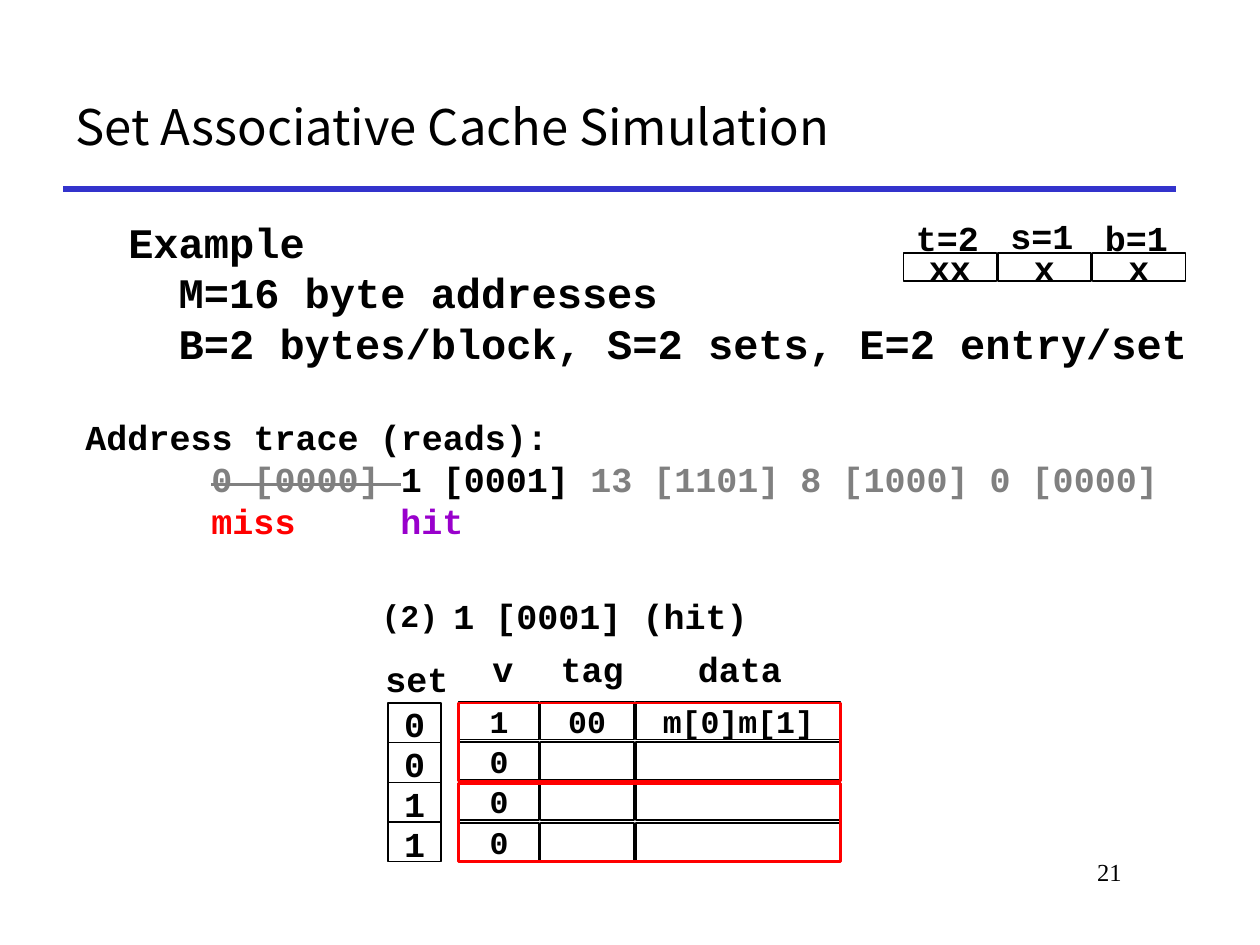
from lxml import etree
from pptx import Presentation
from pptx.dml.color import RGBColor
from pptx.enum import shapes, text
from pptx.oxml import ns
from pptx.util import Inches, Pt

BLACK = RGBColor(0x00, 0x00, 0x00)
WHITE = RGBColor(0xFF, 0xFF, 0xFF)
GRAY = RGBColor(0x80, 0x80, 0x80)
RED = RGBColor(0xFF, 0x00, 0x00)
PURPLE = RGBColor(0x99, 0x00, 0xCC)
BLUE = RGBColor(0x33, 0x33, 0xCC)
MONO = "Courier New"
LEFT, CENTER, RIGHT = text.PP_ALIGN.LEFT, text.PP_ALIGN.CENTER, text.PP_ALIGN.RIGHT


def style(paragraph, size, font=MONO, bold=True, align=LEFT):
    paragraph.alignment = align
    paragraph.font.size = Pt(size)
    paragraph.font.name = font
    paragraph.font.bold = bold
    paragraph.font.color.rgb = BLACK


def label(parent, words, box, size=20, wrap=False, **look):
    """Text box with one styled paragraph per line of words."""
    frame = parent.add_textbox(*map(Inches, box)).text_frame
    frame.word_wrap = wrap
    frame.text = words
    for paragraph in frame.paragraphs:
        style(paragraph, size, **look)
    return frame


def cell(parent, box, words="", size=18, fill=WHITE, line=BLACK, width=1):
    rect = parent.add_shape(shapes.MSO_SHAPE.RECTANGLE, *map(Inches, box))
    rect.shadow.inherit = False
    if fill is None:
        rect.fill.background()
    else:
        rect.fill.solid()
        rect.fill.fore_color.rgb = fill
    rect.line.color.rgb = line
    rect.line.width = Pt(width)
    if words:
        frame = rect.text_frame
        frame.word_wrap = False
        frame.vertical_anchor = text.MSO_ANCHOR.MIDDLE
        frame.text = words
        style(frame.paragraphs[0], size, align=CENTER)


def rule(parent, left, right, y, color, width):
    line = parent.add_connector(shapes.MSO_CONNECTOR.STRAIGHT,
                                *map(Inches, (left, y, right, y)))
    line.line.color.rgb = color
    line.line.width = Pt(width)
    etree.SubElement(line._element.spPr, ns.qn("a:effectLst"))


def heading(slide, left, top, width, height):
    title = slide.shapes.title
    title.left, title.top, title.width, title.height = map(
        Inches, (left, top, width, height))
    title.text_frame.text = "Set Associative Cache Simulation"
    title.text_frame.vertical_anchor = text.MSO_ANCHOR.MIDDLE
    style(title.text_frame.paragraphs[0], 28, "Noto Sans CJK KR", False)
    rule(slide.shapes, left, left + width, top + height, BLUE, 3)


def example(slide, box):
    frame = label(slide.shapes, "Example\nM=16 byte addresses\n"
                  "B=2 bytes/block, S=2 sets, E=2 entry/set", box, 24, True)
    for parameter in frame.paragraphs[1:]:
        properties = parameter._p.get_or_add_pPr()
        properties.set("marL", str(Inches(0.4)))
        properties.set("indent", "0")


def address_trace(slide, box):
    frame = label(slide.shapes, "Address trace (reads):\n\n", box, wrap=True)
    reads, results = frame.paragraphs[1:]
    lines = (
        (reads, (("\t", BLACK), ("0 [0000] ", GRAY), ("1 [0001] ", BLACK),
                 ("13 [1101] 8 [1000] 0 [0000]", GRAY))),
        (results, (("\tmiss", RED), ("\thit", PURPLE))),
    )
    for paragraph, runs in lines:
        for words, color in runs:
            run = paragraph.add_run()
            run.text = words
            run.font.color.rgb = color
        # Tab stops keep each result under its read
        stops = etree.Element(ns.qn("a:tabLst"))
        for stop in (1, 2.5):
            etree.SubElement(stops, ns.qn("a:tab"), pos=str(Inches(stop)), algn="l")
        properties = paragraph._p.get_or_add_pPr()
        properties.find(ns.qn("a:defRPr")).addprevious(stops)
    # The finished read is struck out
    reads.runs[1]._r.get_or_add_rPr().set("strike", "sngStrike")


def address_bits(slide, left, top):
    bits = slide.shapes.add_group_shape().shapes
    pitch = 0.75
    for column, (name, mask, drop) in enumerate(
            (("t=2", "xx", 0.02), ("s=1", "x", 0), ("b=1", "x", 0.02))):
        x = left + column * pitch
        cell(bits, (x, top + 0.36, 0.74, 0.22), mask, 20)
        label(bits, name, (x, top + drop, 0.7, 0.43))


def cache_lines(slide, left, top, pitch):
    cache = slide.shapes.add_group_shape().shapes
    columns = ((0, 0.64), (0.65, 0.74), (1.41, 1.62))
    rows = (("1", "00", "m[0]m[1]"),) + (("0", "", ""),) * 3
    for row, values in enumerate(rows):
        for (x, width), value in zip(columns, values):
            cell(cache, (left + x, top + row * pitch, width, 0.3), value)

    # Column names and step caption
    for name, x, width in (("v", 0.17, 0.37), ("tag", 0.71, 0.71), ("data", 1.8, 0.87)):
        label(cache, name, (left + x, top - 0.48, width, 0.43))
    label(cache, "1 [0001] (hit)", (left - 0.14, top - 0.9, 2.56, 0.43))
    label(cache, "(2)", (left - 0.71, top - 0.89, 0.65, 0.4), 18)

    # One red frame around each set of two lines
    for row in (0, 2):
        cell(slide.shapes, (left, top + 0.01 + row * pitch, 3.03, 0.62),
             fill=None, line=RED, width=1.5)


def set_index(slide, left, top, width, pitch):
    index = slide.shapes.add_group_shape().shapes
    cell(index, (left, top, width, 4 * pitch), fill=None, width=0.75)
    for row, number in enumerate("0011"):
        y = top + row * pitch
        if row:
            rule(index, left, left + width, y, BLACK, 0.75)
        label(index, number, (left, y - 0.05, width, 0.43), align=CENTER)
    label(index, "set", (left - 0.12, top - 0.41, 0.71, 0.44))


deck = Presentation()
deck.slide_width, deck.slide_height = Inches(10), Inches(7.5)
slide = deck.slides.add_slide(deck.slide_layouts[5])

heading(slide, 0.5, 0.5, 8.83, 1)
example(slide, (0.92, 1.67, 8.67, 1.33))
address_trace(slide, (0.58, 3.25, 9.08, 1.11))
cache_lines(slide, 3.64, 5.57, 0.32)
address_bits(slide, 7.17, 1.65)
set_index(slide, 3.08, 5.58, 0.42, 0.315)
label(slide.shapes, "21", (7.58, 6.75, 1.42, 0.5), 14, True,
      font="Times New Roman", bold=False, align=RIGHT)

deck.save("out.pptx")
